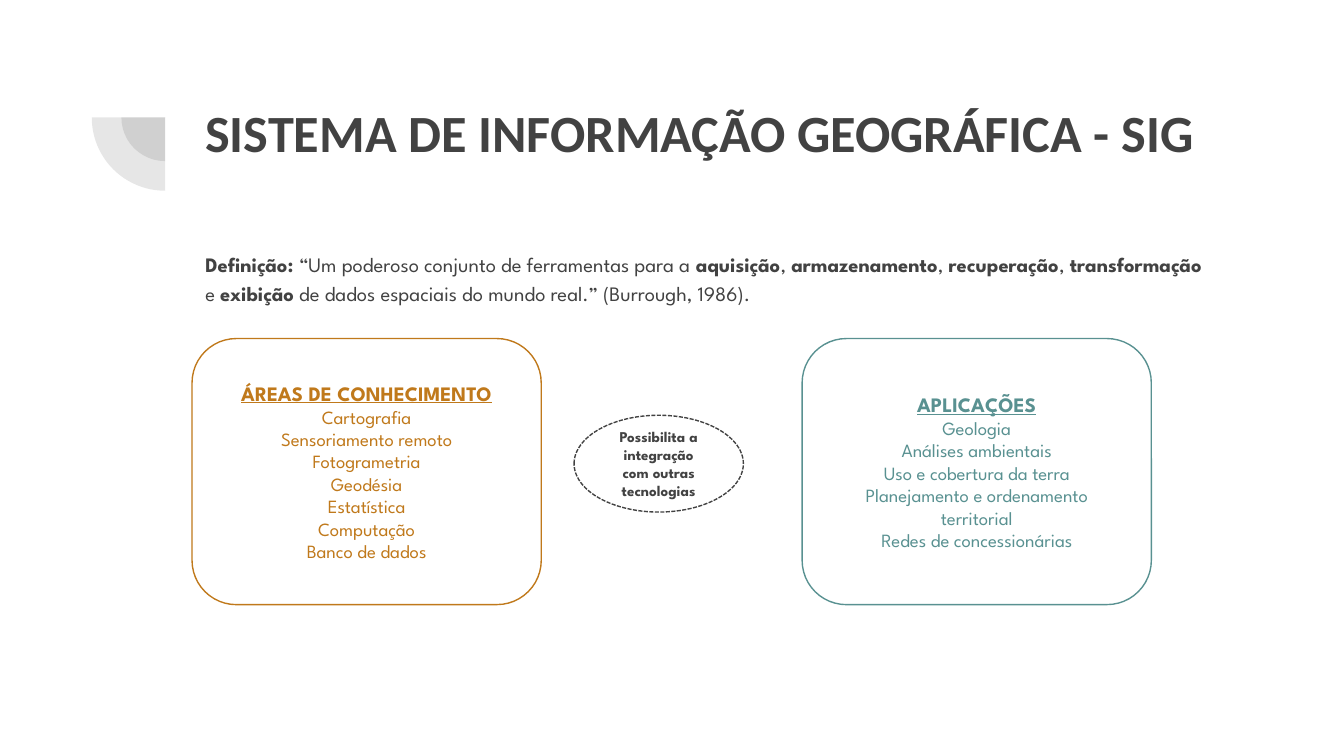
from lxml.etree import SubElement
from pptx import Presentation
from pptx.dml.color import RGBColor
from pptx.enum.dml import MSO_LINE
from pptx.enum.shapes import MSO_SHAPE
from pptx.enum.text import MSO_ANCHOR, MSO_AUTO_SIZE, PP_ALIGN
from pptx.oxml.ns import qn
from pptx.util import Cm, Pt

COLOURS = {"ink": "424242", "ochre": "C0791B", "teal": "599191"}
BODY_FONT = "League Spartan"
TITLE_FONT = "Calibri"

TITLE = "SISTEMA DE INFORMAÇÃO GEOGRÁFICA - SIG"
# Each piece: text, bold
DEFINITION = [
    ("Definição: ", True),
    ("“Um poderoso conjunto de ferramentas para a ", False),
    ("aquisição", True),
    (", ", False),
    ("armazenamento", True),
    (", ", False),
    ("recuperação", True),
    (", ", False),
    ("transformação", True),
    (" e ", False),
    ("exibição", True),
    (" de dados espaciais do mundo real.” (Burrough, 1986).", False),
]
# Each card: left edge in cm, colour, heading, items
CARDS = [
    (15.16, "teal", "APLICAÇÕES",
     ["Geologia", "Análises ambientais", "Uso e cobertura da terra",
      "Planejamento e ordenamento territorial", "Redes de concessionárias"]),
    (3.63, "ochre", "ÁREAS DE CONHECIMENTO",
     ["Cartografia", "Sensoriamento remoto", "Fotogrametria", "Geodésia",
      "Estatística", "Computação", "Banco de dados"]),
]
BRIDGE = "Possibilita a integração com outras tecnologias"

LEFT, CONTENT_WIDTH = 3.63, 19.53
CARD_TOP, CARD_WIDTH, CARD_HEIGHT = 6.4, 6.6, 5.03
PIE_CENTRE = (3.12, 2.22)
PIE_DIAMETERS = (1.65, 2.77)


def colour(name):
    return RGBColor.from_string(COLOURS[name])


def place(box, left, top, width, height):
    box.left, box.top, box.width, box.height = map(Cm, (left, top, width, height))


def add_span(para, text, colour_name, **formats):
    span = para.add_run()
    span.text = text
    span.font.color.rgb = colour(colour_name)
    for name, value in ({"name": BODY_FONT} | formats).items():
        setattr(span.font, name, value)


def prepare_placeholder(box, top, height):
    """Position a placeholder and return its paragraph, left-aligned without bullet."""
    place(box, LEFT, top, CONTENT_WIDTH, height)
    frame = box.text_frame
    settings = {"word_wrap": True, "auto_size": MSO_AUTO_SIZE.NONE,
                "vertical_anchor": MSO_ANCHOR.TOP}
    settings |= {f"margin_{side}": Cm(0.25) for side in ("left", "top", "right", "bottom")}
    for name, value in settings.items():
        setattr(frame, name, value)
    para = frame.paragraphs[0]
    para.alignment = PP_ALIGN.LEFT
    para.space_before = Pt(0)
    return para


def add_outlined(page, kind, position, colour_name, lines):
    """Add an unfilled shape with centred lines of (text, font formats)."""
    box = page.shapes.add_shape(kind, *map(Cm, position))
    box.shadow.inherit = False
    box.fill.background()
    box.line.color.rgb = colour(colour_name)
    box.line.width = Pt(0.75)
    frame = box.text_frame
    frame.word_wrap = True
    frame.vertical_anchor = MSO_ANCHOR.MIDDLE
    for index, (text, formats) in enumerate(lines):
        para = frame.add_paragraph() if index else frame.paragraphs[0]
        para.alignment = PP_ALIGN.CENTER
        add_span(para, text, colour_name, **formats)
    return box


def add_quarter(page, diameter):
    """Add a translucent lower-left quarter disc."""
    left, top = (centre - diameter / 2 for centre in PIE_CENTRE)
    pie = page.shapes.add_shape(MSO_SHAPE.PIE, *map(Cm, (left, top, diameter, diameter)))
    pie.shadow.inherit = False
    pie.rotation = 270
    pie.adjustments[0], pie.adjustments[1] = 108, 162
    pie.fill.solid()
    pie.fill.fore_color.rgb = colour("ink")
    tint = pie._element.spPr.find(qn("a:solidFill"))[0]
    SubElement(tint, qn("a:alpha"), val="13000")
    pie.line.fill.background()
    return pie


def main():
    deck = Presentation()
    deck.slide_width, deck.slide_height = Cm(25.4), Cm(14.29)
    page = deck.slides.add_slide(deck.slide_layouts[1])
    title, body = page.placeholders

    for diameter in PIE_DIAMETERS:
        title._element.addprevious(add_quarter(page, diameter)._element)

    para = prepare_placeholder(title, 1.65, 2.77)
    add_span(para, TITLE, "ink", name=TITLE_FONT, size=Pt(28), bold=True)

    para = prepare_placeholder(body, 4.45, 8.15)
    para.line_spacing = 1.15
    para.space_after = Pt(16)
    properties = para._p.get_or_add_pPr()
    properties.set("marL", "0")
    properties.set("indent", "0")
    SubElement(properties, qn("a:buNone"))
    for text, bold in DEFINITION:
        add_span(para, text, "ink", size=Pt(11), bold=bold)

    heading_format = {"size": Pt(11), "bold": True, "underline": True}
    for left, colour_name, heading, items in CARDS:
        lines = [(heading, heading_format)] + [(item, {"size": Pt(10)}) for item in items]
        add_outlined(page, MSO_SHAPE.ROUNDED_RECTANGLE,
                     (left, CARD_TOP, CARD_WIDTH, CARD_HEIGHT), colour_name, lines)

    bridge = add_outlined(page, MSO_SHAPE.OVAL, (10.85, 7.85, 3.2, 1.83), "ink",
                          [(BRIDGE, {"size": Pt(8), "bold": True})])
    bridge.line.dash_style = MSO_LINE.SQUARE_DOT

    deck.save("out.pptx")


if __name__ == "__main__":
    main()
